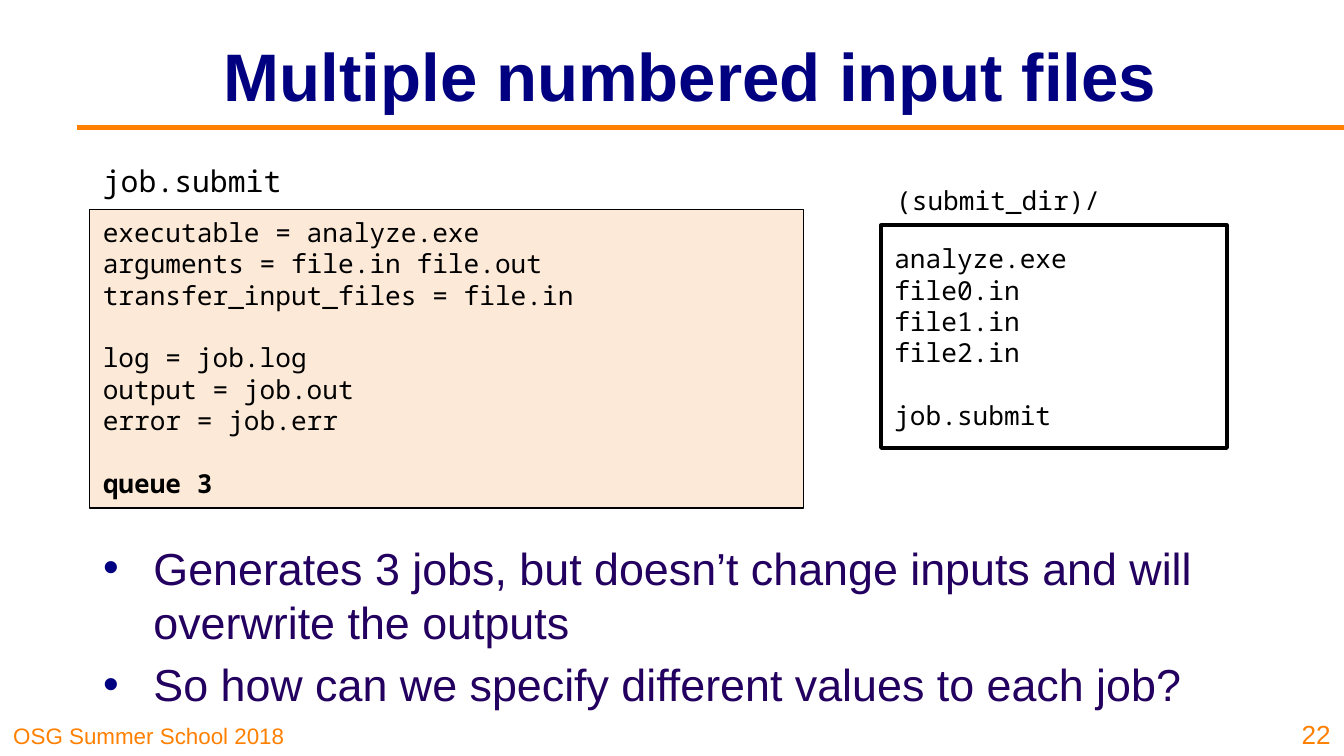
from lxml import etree
from pptx import Presentation
from pptx.dml.color import RGBColor
from pptx.enum.shapes import MSO_CONNECTOR, MSO_SHAPE
from pptx.enum.text import MSO_ANCHOR, MSO_AUTO_SIZE, PP_ALIGN
from pptx.oxml.ns import qn
from pptx.util import Pt

STRAIGHT, RECTANGLE = MSO_CONNECTOR.STRAIGHT, MSO_SHAPE.RECTANGLE
TOP, MIDDLE, BOTTOM = MSO_ANCHOR.TOP, MSO_ANCHOR.MIDDLE, MSO_ANCHOR.BOTTOM
LEFT, CENTER, RIGHT = PP_ALIGN.LEFT, PP_ALIGN.CENTER, PP_ALIGN.RIGHT
NO_FIT = MSO_AUTO_SIZE.NONE

NAVY = RGBColor(0x00, 0x00, 0x80)
INDIGO = RGBColor(0x23, 0x00, 0x5F)
ORANGE = RGBColor(0xFF, 0x80, 0x00)
PEACH = RGBColor(0xFC, 0xE9, 0xD7)
WHITE = RGBColor(0xFF, 0xFF, 0xFF)
BLACK = RGBColor(0x00, 0x00, 0x00)

SANS, MONO = "Arial", "Noto Sans Mono"
PAGE_WIDTH, PAGE_HEIGHT = 720, 405
CODE_SIZE, CODE_LINE = 14, 16.8
BULLET_SIZE, BULLET_INDENT = 24, 27

# Each inner list is a block of lines; blocks are one empty line apart
SUBMIT_BLOCKS = [
    ["executable = analyze.exe", "arguments = file.in file.out",
     "transfer_input_files = file.in"],
    ["log = job.log", "output = job.out", "error = job.err"],
    ["queue 3"],
]
FOLDER_BLOCKS = [["analyze.exe", "file0.in", "file1.in", "file2.in"], ["job.submit"]]
BULLETS = [
    "Generates 3 jobs, but doesn’t change inputs and will overwrite the outputs",
    "So how can we specify different values to each job?",
]


def add_span(para, text, font, size, color, bold=False):
    span = para.add_run()
    span.text = text
    span.font.name, span.font.size = font, Pt(size)
    span.font.color.rgb, span.font.bold = color, bold


def place(shape, box):
    shape.left, shape.top, shape.width, shape.height = (Pt(value) for value in box)


def prepare_frame(shape, anchor):
    frame = shape.text_frame
    frame.word_wrap = True
    frame.auto_size = NO_FIT
    frame.vertical_anchor = anchor
    frame.margin_left = frame.margin_right = Pt(7.2)
    frame.margin_top = frame.margin_bottom = Pt(3.6)
    return frame


def add_label(page, box, text, font, size, color, anchor=TOP, align=LEFT):
    label = page.shapes.add_textbox(*(Pt(value) for value in box))
    para = prepare_frame(label, anchor).paragraphs[0]
    para.alignment = align
    add_span(para, text, font, size, color)


def add_title(page, box):
    title = page.shapes.title
    place(title, box)
    para = prepare_frame(title, MIDDLE).paragraphs[0]
    para.alignment = CENTER
    add_span(para, "Multiple numbered input files", SANS, 36, NAVY, True)


def add_title_rule(page, left, top):
    rule = page.shapes.add_connector(STRAIGHT, Pt(left), Pt(top), Pt(PAGE_WIDTH), Pt(top))
    rule.line.color.rgb, rule.line.width = ORANGE, Pt(3)
    etree.SubElement(rule._element.spPr, qn("a:effectLst"))


def add_listing(page, box, blocks, fill, line_width, anchor, bold_lines=()):
    panel = page.shapes.add_shape(RECTANGLE, *(Pt(value) for value in box))
    panel.shadow.inherit = False
    panel.fill.solid()
    panel.fill.fore_color.rgb = fill
    panel.line.color.rgb, panel.line.width = BLACK, Pt(line_width)
    frame = prepare_frame(panel, anchor)
    para = frame.paragraphs[0]
    for block_index, block in enumerate(blocks):
        for line_index, text in enumerate(block):
            if block_index or line_index:
                para = frame.add_paragraph()
            if block_index and not line_index:
                para.space_before = Pt(CODE_LINE)
            para.alignment = LEFT
            add_span(para, text, MONO, CODE_SIZE, BLACK, text in bold_lines)


def add_bullet_mark(para):
    properties = para._p.get_or_add_pPr()
    properties.set("marL", str(Pt(BULLET_INDENT)))
    properties.set("indent", str(-Pt(BULLET_INDENT)))
    color = etree.SubElement(properties, qn("a:buClr"))
    etree.SubElement(color, qn("a:srgbClr"), val=str(NAVY))
    etree.SubElement(properties, qn("a:buFont"), typeface=SANS)
    etree.SubElement(properties, qn("a:buChar"), char="•")


def add_bullets(page, box):
    body = page.placeholders[1]
    place(body, box)
    frame = prepare_frame(body, TOP)
    for index, text in enumerate(BULLETS):
        para = frame.add_paragraph() if index else frame.paragraphs[0]
        add_bullet_mark(para)
        para.alignment = LEFT
        para.space_before = Pt(0.2 * BULLET_SIZE if index else 0)
        add_span(para, text, SANS, BULLET_SIZE, INDIGO)


def add_footer(page):
    add_label(page, (0, PAGE_HEIGHT - 22.5, 178.5, 22.5), "OSG Summer School 2018",
              SANS, 12, ORANGE, BOTTOM)
    add_label(page, (PAGE_WIDTH - 33, PAGE_HEIGHT - 27, 33, 27), "22",
              SANS, 14, ORANGE, BOTTOM, RIGHT)


def main():
    deck = Presentation()
    deck.slide_width, deck.slide_height = Pt(PAGE_WIDTH), Pt(PAGE_HEIGHT)
    page = deck.slides.add_slide(deck.slide_layouts[1])
    page.background.fill.solid()
    page.background.fill.fore_color.rgb = WHITE

    # Heading
    add_title_rule(page, 41, 68.4)
    add_title(page, (96.5, 6.5, 547, 67.5))

    # Submit file
    add_label(page, (48, 83.5, 112, 22.5), "job.submit", MONO, 16, BLACK)
    add_listing(page, (48, 112.3, 382.5, 160), SUBMIT_BLOCKS, PEACH, 0.75, TOP,
                ("queue 3",))

    # Submit folder
    add_label(page, (473, 95, 156, 24), "(submit_dir)/", MONO, 14, BLACK)
    add_listing(page, (472, 120.7, 185.3, 119.3), FOLDER_BLOCKS, WHITE, 2, MIDDLE)

    # Conclusions and footer
    add_bullets(page, (48, 286, 672, 87))
    add_footer(page)
    deck.save("out.pptx")


if __name__ == "__main__":
    main()
